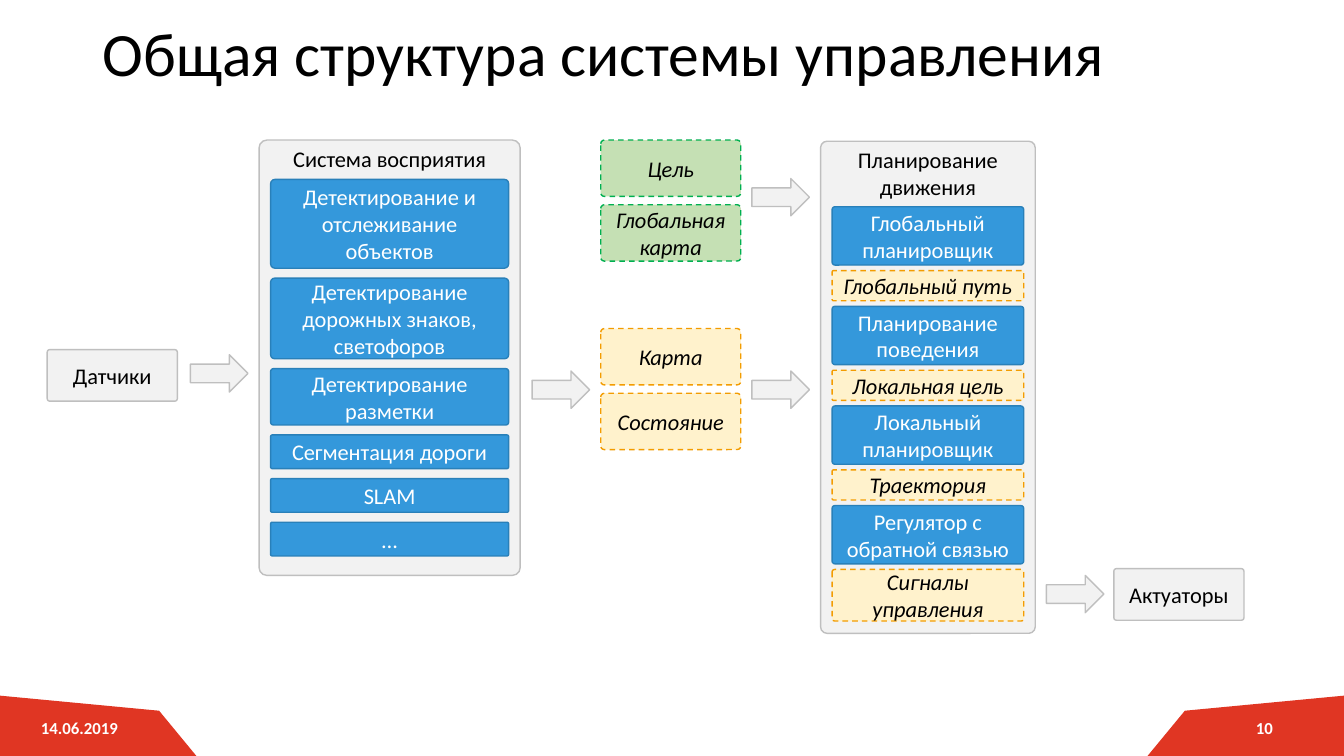
from pptx import Presentation
from pptx import util as u
from pptx.dml.color import RGBColor
from pptx.enum import dml, shapes, text

FONT = "Calibri"
WIDTH, HEIGHT = 33.87, 19.05

# fill, line, text colour, dashed outline with italic text
GREY = ("F2F2F2", "BFBFBF", "000000", False)
BLUE = ("3498DB", "2980B9", "FFFFFF", False)
YELLOW = ("FFF2CC", "F39C01", "000000", True)
GREEN = ("C5E0B4", "00B050", "000000", True)


def write(shape, words, color, size=16, bold=False, italic=False,
          anchor=text.MSO_ANCHOR.MIDDLE, align=text.PP_ALIGN.CENTER):
    frame = shape.text_frame
    frame.word_wrap = True
    frame.auto_size = text.MSO_AUTO_SIZE.NONE
    frame.vertical_anchor = anchor
    frame.text = words
    paragraph = frame.paragraphs[0]
    paragraph.alignment = align
    font = paragraph.runs[0].font
    font.name, font.size = FONT, u.Pt(size)
    font.bold, font.italic = bold, italic
    font.color.rgb = RGBColor.from_string(color)


def add_block(kind, left, top, width, height, style, words="", rounding=0.05):
    fill, line, color, dashed = style
    shape = slide.shapes.add_shape(kind, u.Cm(left), u.Cm(top), u.Cm(width), u.Cm(height))
    shape.shadow.inherit = False
    shape.fill.solid()
    shape.fill.fore_color.rgb = RGBColor.from_string(fill)
    shape.line.color.rgb = RGBColor.from_string(line)
    shape.line.width = u.Pt(1)
    if dashed:
        shape.line.dash_style = dml.MSO_LINE.DASH
    if kind == BOX:
        shape.adjustments[0] = rounding
    if words:
        write(shape, words, color, italic=dashed)


BOX = shapes.MSO_SHAPE.ROUNDED_RECTANGLE
ARROW = shapes.MSO_SHAPE.RIGHT_ARROW

presentation = Presentation()
presentation.slide_width, presentation.slide_height = u.Cm(WIDTH), u.Cm(HEIGHT)
slide = presentation.slides.add_slide(presentation.slide_layouts[5])

# Title
title = slide.shapes.title
title.left, title.top, title.width, title.height = u.Cm(2.33), u.Cm(0.36), u.Cm(29.21), u.Cm(2.13)
write(title, "Общая структура системы управления", "000000", 44, align=text.PP_ALIGN.LEFT)
title.text_frame.paragraphs[0].line_spacing = 0.9

# Red footer corners with date and page number
corner = [(0, HEIGHT), (0, 17.53), (4.01, 17.91), (4.95, HEIGHT)]
for mirrored, words in [(False, "14.06.2019"), (True, "10")]:
    points = [(u.Cm(WIDTH - x if mirrored else x), u.Cm(y)) for x, y in corner]
    builder = slide.shapes.build_freeform(*points[0])
    builder.add_line_segments(points[1:], close=True)
    shape = builder.convert_to_shape()
    shape.shadow.inherit = False
    shape.fill.solid()
    shape.fill.fore_color.rgb = RGBColor.from_string("E03623")
    shape.line.fill.background()
    left = WIDTH - 4.01 if mirrored else 0
    label = slide.shapes.add_textbox(u.Cm(left), u.Cm(17.65), u.Cm(4.01), u.Cm(1.4))
    write(label, words, "FFFFFF", 12, bold=True)

# Perception and planning columns: panel, heading, then stacked blocks
perception = [
    ("Детектирование и отслеживание объектов", 2.24, BLUE),
    ("Детектирование дорожных знаков, светофоров", 2.03, BLUE),
    ("Детектирование разметки", 1.42, BLUE),
    ("Сегментация дороги", 0.85, BLUE),
    ("SLAM", 0.85, BLUE),
    ("…", 0.85, BLUE),
]
planning = [
    ("Глобальный планировщик", 1.47, BLUE),
    ("Глобальный путь", 0.76, YELLOW),
    ("Планирование поведения", 1.47, BLUE),
    ("Локальная цель", 0.76, YELLOW),
    ("Локальный планировщик", 1.47, BLUE),
    ("Траектория", 0.76, YELLOW),
    ("Регулятор с обратной связью", 1.47, BLUE),
    ("Сигналы управления", 1.3, YELLOW),
]
columns = [
    ("Система восприятия", 6.53, 3.53, 6.58, 10.97, 4.52, 0.25, perception),
    ("Планирование движения", 20.68, 3.56, 5.41, 12.4, 5.21, 0.14, planning),
]
for heading, left, top, width, height, block_top, gap, blocks in columns:
    add_block(BOX, left, top, width, height, GREY, rounding=0.03)
    label = slide.shapes.add_textbox(u.Cm(left), u.Cm(top), u.Cm(width), u.Cm(block_top - top))
    write(label, heading, "000000", anchor=text.MSO_ANCHOR.TOP)
    for words, block_height, style in blocks:
        add_block(BOX, left + 0.29, block_top, width - 0.58, block_height, style, words)
        block_top += block_height + gap

# Data between the columns
for top, style, pair in [(3.53, GREEN, ("Цель", "Глобальная карта")),
                         (8.28, YELLOW, ("Карта", "Состояние"))]:
    for row, words in enumerate(pair):
        add_block(BOX, 15.14, top + row * 1.63, 3.53, 1.42, style, words, 0.065)

# Input and output devices
for words, left, top in [("Датчики", 1.19, 8.81), ("Актуаторы", 28.07, 14.33)]:
    add_block(BOX, left, top, 3.28, 1.3, GREY, words)

# Flow arrows
for left, top in [(4.8, 8.94), (13.41, 9.35), (18.95, 9.35), (18.95, 4.5), (26.37, 14.5)]:
    add_block(ARROW, left, top, 1.45, 0.94, GREY)

presentation.save("out.pptx")
